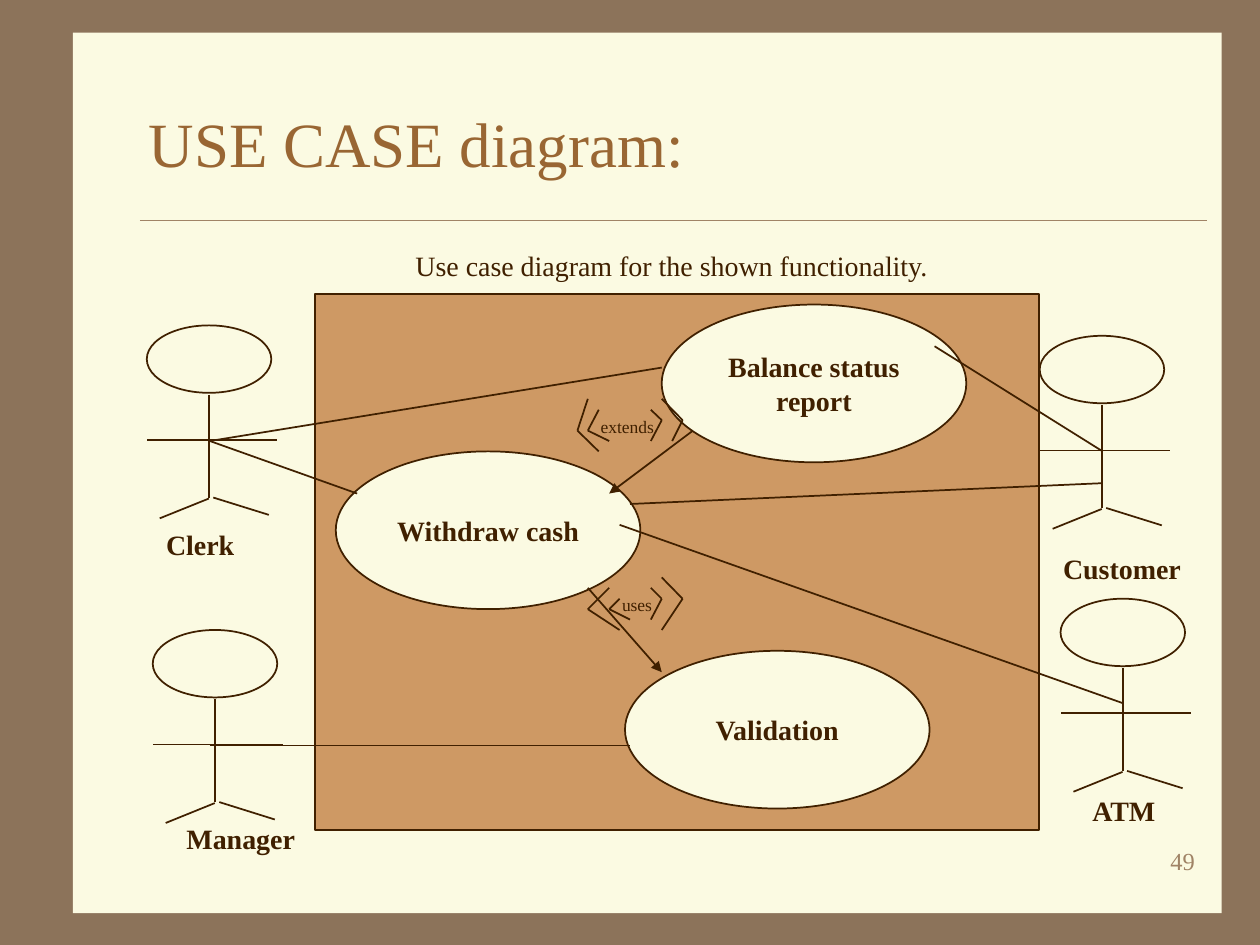
from itertools import pairwise

from lxml import etree
from pptx import Presentation
from pptx import util as u
from pptx.dml.color import RGBColor
from pptx.enum import shapes, text
from pptx.oxml.ns import qn

BROWN = RGBColor(0x8C, 0x73, 0x5A)
CREAM = RGBColor(0xFB, 0xFA, 0xE2)
TAN = RGBColor(0xCE, 0x99, 0x64)
INK = RGBColor(0x40, 0x20, 0x00)
TITLE = RGBColor(0x99, 0x66, 0x33)
MUTED = RGBColor(0xA0, 0x83, 0x66)
FONT = "Times New Roman"

LEFT, CENTER, RIGHT = text.PP_ALIGN.LEFT, text.PP_ALIGN.CENTER, text.PP_ALIGN.RIGHT
TOP, MIDDLE = text.MSO_ANCHOR.TOP, text.MSO_ANCHOR.MIDDLE
RECTANGLE, OVAL = shapes.MSO_SHAPE.RECTANGLE, shapes.MSO_SHAPE.OVAL

# All positions are in centimetres.
USE_CASES = [
    ("Balance status\nreport", 13.34, 6.14),
    ("Withdraw cash", 6.77, 9.1),
    ("Validation", 12.6, 13.12),
]
# Figure position, then name, name position and name width
ACTORS = [
    (20.96, 6.77, "Customer", 21.18, 11, 2.87),
    (2.96, 6.56, "Clerk", 3.1, 10.52, 1.88),
    (3.08, 12.7, "Manager", 3.51, 16.43, 2.69),
    (21.38, 12.07, "ATM", 21.77, 15.88, 1.8),
]
# Body, arms and legs, measured from the corner of the head
LIMBS = [
    ((1.26, 1.4), (1.26, 3.47)),
    ((0.01, 2.31), (2.63, 2.31)),
    ((1.25, 3.49), (0.26, 3.89)),
    ((1.34, 3.47), (2.46, 3.82)),
]
ASSOCIATIONS = [
    ((12.7, 10.16), (22.23, 9.74)),
    ((18.84, 6.98), (22.23, 9.1)),
    ((4.23, 8.89), (13.34, 7.41)),
    ((4.23, 8.89), (7.2, 9.95)),
    ((4.23, 15.03), (12.7, 15.03)),
    ((12.49, 10.58), (22.65, 14.18)),
]
DEPENDENCIES = [
    ((11.85, 11.85), (13.34, 13.55)),
    ((13.97, 8.68), (12.28, 9.95)),
]
STEREOTYPES = [("uses", 12.29, 11.86, 1.12), ("extends", 11.86, 8.26, 1.57)]
CHEVRONS = [
    # around "uses"
    ((12.49, 12.07), (12.28, 12.28), (12.7, 12.49)),
    ((13.12, 11.85), (13.34, 12.07), (13.12, 12.49)),
    ((13.34, 11.64), (13.76, 12.07), (13.34, 12.7)),
    ((12.28, 11.85), (11.85, 12.28), (12.49, 12.7)),
    # around "extends"
    ((12.07, 8.26), (11.85, 8.68), (12.28, 8.89)),
    ((13.12, 8.26), (13.34, 8.47), (13.12, 8.89)),
    ((13.34, 8.04), (13.76, 8.47), (13.55, 8.89)),
    ((11.85, 8.04), (11.64, 8.68), (12.07, 9.1)),
]


def write_text(shape, words, *, size=16, color=INK, bold=False, align=LEFT,
               anchor=TOP, wrap=False):
    frame = shape.text_frame
    frame.auto_size = text.MSO_AUTO_SIZE.NONE
    frame.word_wrap = wrap
    frame.vertical_anchor = anchor
    frame.text = words
    for paragraph in frame.paragraphs:
        paragraph.alignment = align
        paragraph.font.name = FONT
        paragraph.font.size = u.Pt(size)
        paragraph.font.bold = bold
        paragraph.font.color.rgb = color


class Diagram:
    def __init__(self, slide, line_color=INK, line_width=1):
        self.slide = slide
        self.line_color = line_color
        self.line_width = line_width

    def title(self, words, left, top, width, height):
        shape = self.slide.shapes.title
        shape.left, shape.top = u.Cm(left), u.Cm(top)
        shape.width, shape.height = u.Cm(width), u.Cm(height)
        write_text(shape, words, size=36, color=TITLE, anchor=MIDDLE, wrap=True)

    def shape(self, kind, left, top, width, height, fill=CREAM, outline=True):
        shape = self.slide.shapes.add_shape(
            kind, u.Cm(left), u.Cm(top), u.Cm(width), u.Cm(height))
        shape.shadow.inherit = False
        shape.fill.solid()
        shape.fill.fore_color.rgb = fill
        if outline:
            shape.line.color.rgb = self.line_color
            shape.line.width = u.Pt(self.line_width)
        else:
            shape.line.fill.background()
        return shape

    def label(self, words, left, top, width, height=0.94, **style):
        box = self.slide.shapes.add_textbox(
            u.Cm(left), u.Cm(top), u.Cm(width), u.Cm(height))
        write_text(box, words, **style)

    def line(self, start, end, color=None, width=None, arrow=False):
        connector = self.slide.shapes.add_connector(
            shapes.MSO_CONNECTOR.STRAIGHT, *map(u.Cm, start + end))
        connector.line.color.rgb = color or self.line_color
        connector.line.width = u.Pt(width or self.line_width)
        if arrow:
            outline = connector.line._get_or_add_ln()
            etree.SubElement(outline, qn("a:tailEnd"), type="triangle")
        etree.SubElement(connector._element.spPr, qn("a:effectLst"))

    def chevron(self, points):
        for start, end in pairwise(points):
            self.line(start, end)

    def use_case(self, name, left, top):
        oval = self.shape(OVAL, left, top, 6.14, 3.18)
        write_text(oval, name, bold=True, align=CENTER, anchor=MIDDLE)

    def actor(self, left, top, name, name_left, name_top, name_width):
        self.shape(OVAL, left, top, 2.51, 1.36)
        for (x1, y1), (x2, y2) in LIMBS:
            self.line((left + x1, top + y1), (left + x2, top + y2))
        self.label(name, name_left, name_top, name_width, bold=True)


def main():
    presentation = Presentation()
    presentation.slide_width, presentation.slide_height = u.Cm(25.4), u.Cm(19.05)
    slide = presentation.slides.add_slide(presentation.slide_layouts[5])
    slide.background.fill.solid()
    slide.background.fill.fore_color.rgb = BROWN
    diagram = Diagram(slide)

    # Page panel, sent behind the title
    panel = diagram.shape(RECTANGLE, 1.47, 0.66, 23.16, 17.75, outline=False)
    slide.shapes.title._element.addprevious(panel._element)

    # Heading
    diagram.title("USE CASE diagram:", 2.74, 1.27, 21.59, 3.18)
    diagram.line((2.82, 4.44), (24.33, 4.44), color=MUTED, width=0.25)
    diagram.label("Use case diagram for the shown functionality.",
                  3.38, 4.88, 20.32, align=CENTER, wrap=True)

    # System boundary with its use cases
    diagram.shape(RECTANGLE, 6.35, 5.93, 14.6, 10.8, fill=TAN)
    for use_case in USE_CASES:
        diagram.use_case(*use_case)

    # Actors
    for actor in ACTORS:
        diagram.actor(*actor)

    # Relations
    for start, end in ASSOCIATIONS:
        diagram.line(start, end)
    for start, end in DEPENDENCIES:
        diagram.line(start, end, arrow=True)

    # Stereotypes in double chevrons
    for name, left, top, width in STEREOTYPES:
        diagram.label(name, left, top, width, 0.69, size=10)
    for points in CHEVRONS:
        diagram.chevron(points)

    # Page number
    diagram.label("49", 19.05, 16.93, 5.29, 1.27, size=14, color=MUTED,
                  align=RIGHT, wrap=True)

    presentation.save("out.pptx")


if __name__ == "__main__":
    main()
